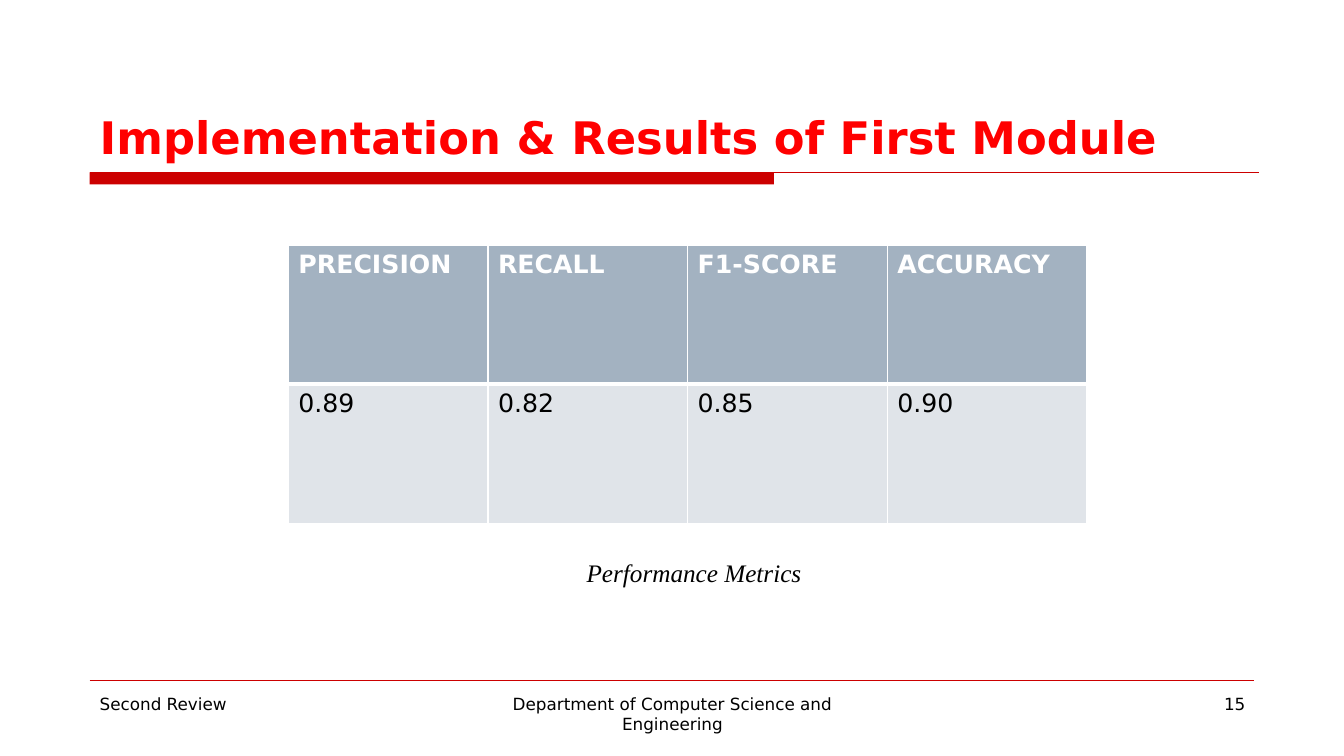
from dataclasses import dataclass

from lxml import etree
from pptx import Presentation
from pptx import util as u
from pptx.dml.color import RGBColor
from pptx.enum import shapes, text
from pptx.oxml import ns

TITLE = "Implementation & Results of First Module"
CAPTION = "Performance Metrics"
METRICS = {"PRECISION": "0.89", "RECALL": "0.82", "F1-SCORE": "0.85", "ACCURACY": "0.90"}
ALIGN = text.PP_ALIGN
# wording, left, width, alignment
FOOTER = [
    ("Second Review", 0.89, 2.89, ALIGN.LEFT),
    ("Department of Computer Science and Engineering", 4.56, 4.22, ALIGN.CENTER),
    ("15", 9.56, 2.89, ALIGN.RIGHT),
]


@dataclass(frozen=True)
class Theme:
    sans: str = "DejaVu Sans"
    serif: str = "Times New Roman"
    title: str = "FF0000"
    rule: str = "CC0000"
    ink: str = "000000"
    white: str = "FFFFFF"
    header: str = "A3B2C1"
    body: str = "E0E4E9"
    title_size: int = 32
    text_size: int = 18
    footer_size: int = 12


THEME = Theme()
WIDTH, HEIGHT = 13.33, 7.5
MARGIN = 0.89
RULE_TOP, RULE_WIDTH, BAR_HEIGHT = 1.71, 11.6, 0.12
BAR_SHARE = 0.585
FOOT_RULE_TOP, FOOT_RULE_END = 6.75, 12.44
FOOT_TOP, FOOT_HEIGHT = 6.83, 0.52
TABLE_LEFT, TABLE_TOP, COLUMN, ROW = 2.86, 2.43, 1.98, 1.38


def write(frame, words, size, color, font=THEME.sans, align=ALIGN.LEFT, bold=False, italic=False):
    para = frame.paragraphs[0]
    para.alignment = align
    span = para.add_run()
    span.text = words
    span.font.name = font
    span.font.size = u.Pt(size)
    span.font.bold = bold
    span.font.italic = italic
    span.font.color.rgb = RGBColor.from_string(color)


def add_text(page, area, words, size, color, anchor=text.MSO_ANCHOR.TOP, **style):
    box = page.shapes.add_textbox(*map(u.Inches, area))
    box.text_frame.word_wrap = True
    box.text_frame.vertical_anchor = anchor
    write(box.text_frame, words, size, color, **style)
    return box


def add_rule(page, top, end, weight):
    ends = map(u.Inches, (MARGIN, top, end, top))
    rule = page.shapes.add_connector(shapes.MSO_CONNECTOR.STRAIGHT, *ends)
    rule.line.color.rgb = RGBColor.from_string(THEME.rule)
    rule.line.width = u.Pt(weight)
    etree.SubElement(rule._element.spPr, ns.qn("a:effectLst"))


def set_borders(cell, weights):
    """Draw white borders; weights are points for left, right, top, bottom."""
    properties = cell._tc.get_or_add_tcPr()
    for index, (side, weight) in enumerate(zip("LRTB", weights)):
        border = etree.Element(ns.qn(f"a:ln{side}"), w=str(u.Pt(weight)))
        fill = etree.SubElement(border, ns.qn("a:solidFill"))
        etree.SubElement(fill, ns.qn("a:srgbClr"), val=THEME.white)
        properties.insert(index, border)


def add_metrics(page):
    area = (TABLE_LEFT, TABLE_TOP, COLUMN * len(METRICS), ROW * 2)
    table = page.shapes.add_table(2, len(METRICS), *map(u.Inches, area)).table
    rows = [
        (METRICS.keys(), THEME.header, THEME.white, True, (1, 1, 1, 3)),
        (METRICS.values(), THEME.body, THEME.ink, False, (1, 1, 3, 1)),
    ]
    for row, (entries, fill, color, bold, weights) in enumerate(rows):
        for column, words in enumerate(entries):
            cell = table.cell(row, column)
            cell.fill.solid()
            cell.fill.fore_color.rgb = RGBColor.from_string(fill)
            set_borders(cell, weights)
            write(cell.text_frame, words, THEME.text_size, color, bold=bold)


def main():
    deck = Presentation()
    deck.slide_width, deck.slide_height = u.Inches(WIDTH), u.Inches(HEIGHT)
    page = deck.slides.add_slide(deck.slide_layouts[6])

    bar_area = (MARGIN, RULE_TOP, RULE_WIDTH * BAR_SHARE, BAR_HEIGHT)
    bar = page.shapes.add_shape(shapes.MSO_SHAPE.RECTANGLE, *map(u.Inches, bar_area))
    bar.shadow.inherit = False
    bar.fill.solid()
    bar.fill.fore_color.rgb = RGBColor.from_string(THEME.rule)
    bar.line.fill.background()
    add_rule(page, RULE_TOP, MARGIN + RULE_WIDTH, 0.75)
    add_rule(page, FOOT_RULE_TOP, FOOT_RULE_END, 0.25)

    add_text(page, (MARGIN, 0.34, 11.67, 1.33), TITLE, THEME.title_size, THEME.title,
             anchor=text.MSO_ANCHOR.BOTTOM, bold=True)
    for words, left, width, align in FOOTER:
        add_text(page, (left, FOOT_TOP, width, FOOT_HEIGHT), words,
                 THEME.footer_size, THEME.ink, align=align)
    caption = add_text(page, (5.72, 5.48, 4.5, 0.4), CAPTION, THEME.text_size, THEME.ink,
                       font=THEME.serif, italic=True)
    caption.text_frame.auto_size = text.MSO_AUTO_SIZE.SHAPE_TO_FIT_TEXT
    add_metrics(page)
    deck.save("out.pptx")


if __name__ == "__main__":
    main()
